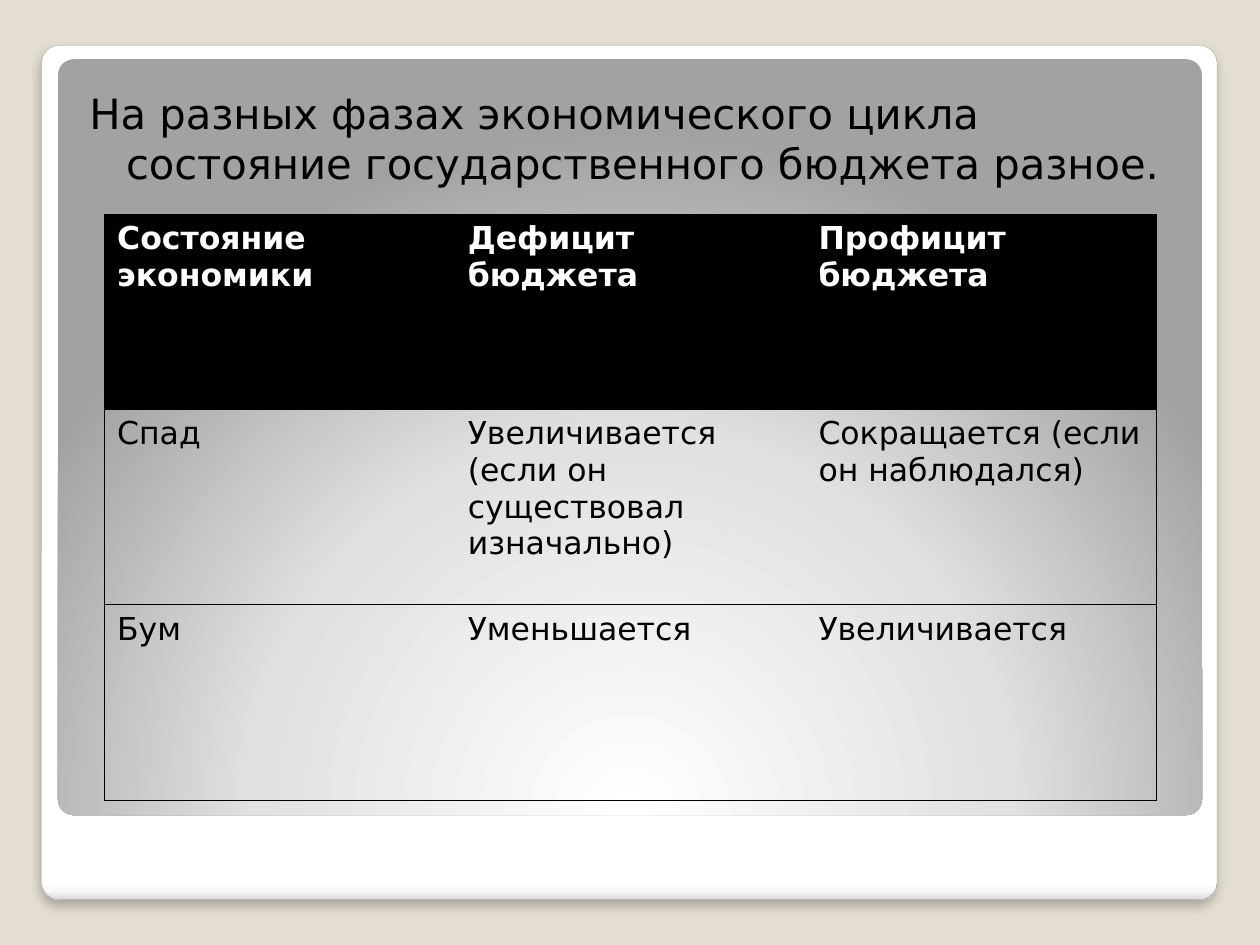
from lxml.etree import SubElement
from pptx import Presentation
from pptx.dml.color import RGBColor
from pptx.enum.shapes import MSO_SHAPE
from pptx.enum.text import MSO_ANCHOR, MSO_AUTO_SIZE
from pptx.oxml import parse_xml
from pptx.oxml.ns import nsdecls, qn
from pptx.util import Inches, Pt

COLORS = {"background": "E3DED1", "frame_line": "A4A4A4",
          "black": "000000", "white": "FFFFFF"}
FONT = "DejaVu Sans"
FRAME_STOPS = [(0, "FFFFFF"), (98, "FFFFFF"), (99, "F7F7F7"), (100, "DADADA")]
PANEL_STOPS = [(0, "FFFFFF"), (55, "E1E1E1"), (100, "A2A2A2")]
LINEAR_DOWN = '<a:lin ang="5400000" scaled="0"/>'
GLOW_FROM_BELOW = ('<a:path path="circle"><a:fillToRect l="50000" t="175000" '
                   'r="50000" b="-75000"/></a:path>')
HEADING = "На разных фазах экономического цикла состояние государственного бюджета разное."
ROWS = [
    ["Состояние экономики", "Дефицит бюджета", "Профицит бюджета"],
    ["Спад", "Увеличивается (если он существовал изначально)",
     "Сокращается (если он наблюдался)"],
    ["Бум", "Уменьшается", "Увеличивается"],
]


def rgb(name):
    return RGBColor.from_string(COLORS[name])


def style_font(font, size, color, bold=False):
    font.name, font.size, font.bold = FONT, Pt(size), bold
    font.color.rgb = rgb(color)


def add_panel(slide, box, stops, direction):
    sp = slide.shapes.add_shape(MSO_SHAPE.ROUNDED_RECTANGLE, *map(Inches, box))
    sp.adjustments[0] = 0.021
    sp.shadow.inherit = False
    sp.line.fill.background()
    gs = "".join(f'<a:gs pos="{pos * 1000}"><a:srgbClr val="{color}"/></a:gs>'
                 for pos, color in stops)
    gradient = parse_xml(f'<a:gradFill {nsdecls("a")} rotWithShape="1">'
                         f'<a:gsLst>{gs}</a:gsLst>{direction}</a:gradFill>')
    sp._element.spPr.find(qn("a:prstGeom")).addnext(gradient)
    return sp


def add_frame(slide, box):
    sp = add_panel(slide, box, FRAME_STOPS, LINEAR_DOWN)
    sp.line.color.rgb = rgb("frame_line")
    sp.line.width = Pt(0.16)
    # Soft shadow below the frame
    effects = sp._element.spPr.find(qn("a:effectLst"))
    shadow = SubElement(effects, qn("a:outerShdw"), blurRad=str(Pt(6)),
                        dist=str(Pt(4)), dir="5400000", algn="t", rotWithShape="0")
    color = SubElement(shadow, qn("a:srgbClr"), val=COLORS["black"])
    SubElement(color, qn("a:alpha"), val="25000")
    return sp


def fill_heading(body, box):
    body.left, body.top, body.width, body.height = map(Inches, box)
    tf = body.text_frame
    tf.word_wrap, tf.auto_size = True, MSO_AUTO_SIZE.NONE
    tf.vertical_anchor = MSO_ANCHOR.TOP
    tf.margin_left, tf.margin_top = Inches(0.2), Inches(0.1)
    tf.margin_right, tf.margin_bottom = Inches(0.1), Inches(0.05)
    tf.text = HEADING
    p = tf.paragraphs[0]
    p.space_before = Pt(0)
    pPr = p._p.get_or_add_pPr()
    pPr.set("marL", str(Inches(0.29)))
    pPr.set("indent", str(-Inches(0.29)))
    SubElement(pPr, qn("a:buNone"))
    style_font(p.runs[0].font, 23.8, "black")


def set_borders(cell, visible):
    tcPr = cell._tc.get_or_add_tcPr()
    for i, side in enumerate("LRTB"):
        shown = side in visible
        paint = (f'<a:solidFill><a:srgbClr val="{COLORS["black"]}"/></a:solidFill>'
                 if shown else "<a:noFill/>")
        width = Pt(0.75) if shown else 0
        tcPr.insert(i, parse_xml(f'<a:ln{side} {nsdecls("a")} w="{width}">'
                                 f'{paint}</a:ln{side}>'))


def add_budget_table(slide, box):
    n_rows, n_cols = len(ROWS), len(ROWS[0])
    table = slide.shapes.add_table(n_rows, n_cols, *map(Inches, box)).table
    table.horz_banding = False
    for r, row in enumerate(ROWS):
        header = r == 0
        for c, text in enumerate(row):
            cell = table.cell(r, c)
            cell.text = text
            style_font(cell.text_frame.paragraphs[0].runs[0].font, 18,
                       "white" if header else "black", header)
            if header:
                cell.fill.solid()
                cell.fill.fore_color.rgb = rgb("black")
            else:
                cell.fill.background()
            # Horizontal rules everywhere, vertical ones on the outside only
            sides = "TB" + "L" * (c == 0) + "R" * (c == n_cols - 1)
            set_borders(cell, sides)


def main():
    prs = Presentation()
    prs.slide_width, prs.slide_height = Inches(10), Inches(7.5)
    slide = prs.slides.add_slide(prs.slide_layouts[1])
    slide.background.fill.solid()
    slide.background.fill.fore_color.rgb = rgb("background")
    title = slide.shapes.title._element
    title.getparent().remove(title)

    # Backdrop, kept behind the heading
    body = slide.placeholders[1]
    for sp in (add_frame(slide, (0.33, 0.36, 9.33, 6.78)),
               add_panel(slide, (0.46, 0.47, 9.08, 6), PANEL_STOPS, GLOW_FROM_BELOW)):
        body._element.addprevious(sp._element)

    # Content
    fill_heading(body, (0.51, 0.6, 8.95, 1.02))
    add_budget_table(slide, (0.83, 1.7, 8.35, 4.65))
    prs.save("out.pptx")


if __name__ == "__main__":
    main()
